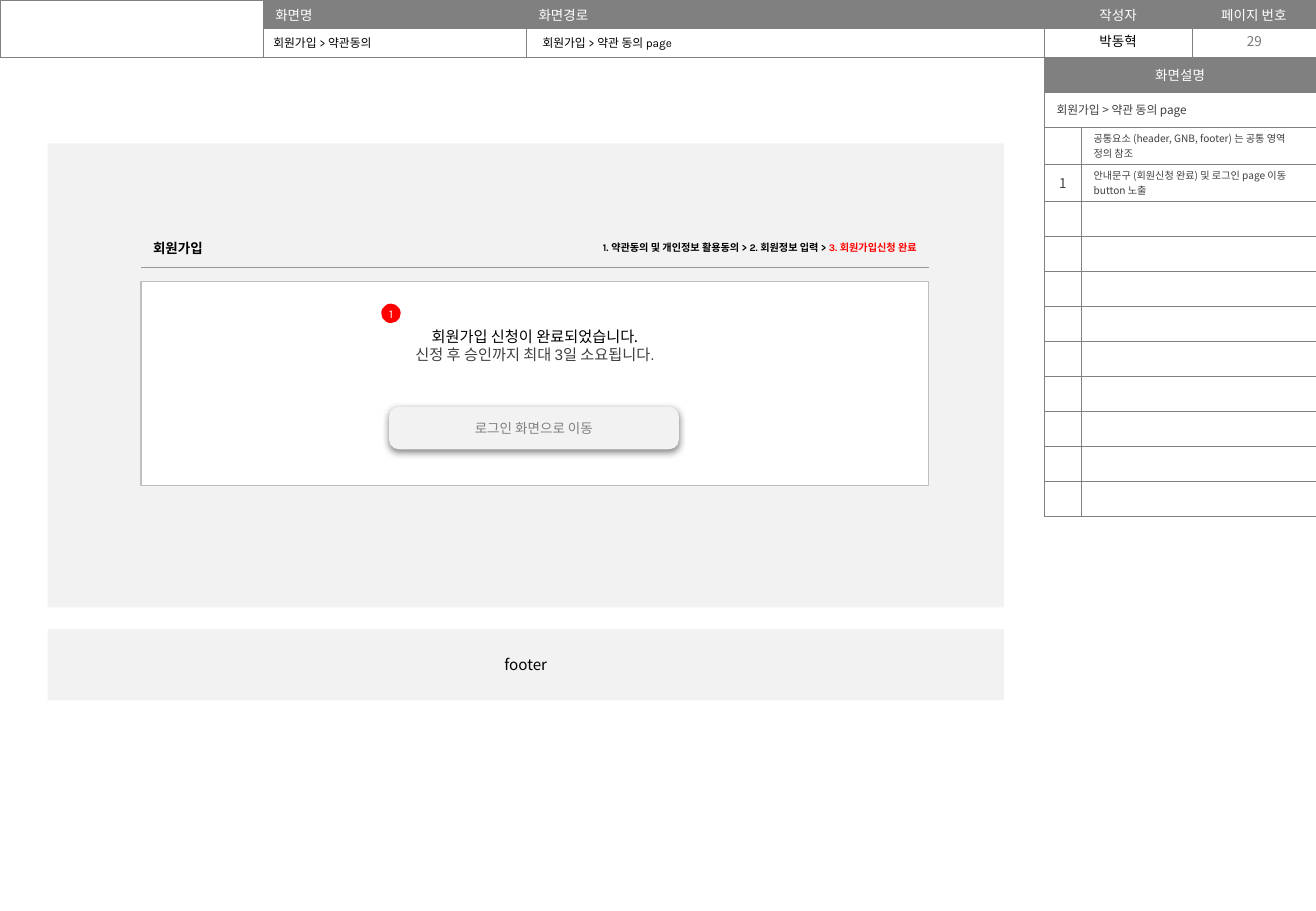
from lxml import etree
from pptx import Presentation
from pptx.dml.color import RGBColor
from pptx.enum import shapes, text
from pptx.oxml import ns
from pptx.util import Pt

WHITE = RGBColor(0xFF, 0xFF, 0xFF)
BLACK = RGBColor(0, 0, 0)
RED = RGBColor(0xFF, 0, 0)
GREY = RGBColor(0x80, 0x80, 0x80)
NUMBER_GREY = RGBColor(0x79, 0x79, 0x79)
DARK = RGBColor(0x40, 0x40, 0x40)
PANEL = RGBColor(0xF2, 0xF2, 0xF2)
RULE = RGBColor(0x99, 0x99, 0x99)
OUTLINE = RGBColor(0xBF, 0xBF, 0xBF)

NOTO, KARLA, ARIAL = "Noto Sans CJK KR", "Karla", "Arial"
LEFT, CENTER, RIGHT = text.PP_ALIGN.LEFT, text.PP_ALIGN.CENTER, text.PP_ALIGN.RIGHT
TOP, MIDDLE = text.MSO_ANCHOR.TOP, text.MSO_ANCHOR.MIDDLE
RECTANGLE = shapes.MSO_SHAPE.RECTANGLE
ROUNDED = shapes.MSO_SHAPE.ROUNDED_RECTANGLE
OVAL = shapes.MSO_SHAPE.OVAL


class Wireframe:
    def __init__(self, width, height):
        self.presentation = Presentation()
        self.presentation.slide_width = Pt(width)
        self.presentation.slide_height = Pt(height)
        self.slide = self.presentation.slides.add_slide(self.presentation.slide_layouts[6])

    def set_text(self, paragraph, content, size, color=BLACK, font=NOTO, align=LEFT, bold=False):
        """Fill a paragraph with a string or with (string, colour) runs."""
        paragraph.alignment = align
        paragraph.font.size = Pt(size)
        paragraph.font.name = font
        paragraph.font.bold = bold
        if isinstance(content, str):
            paragraph.font.color.rgb = color
            content = [(content, None)]
        for words, run_color in content:
            run = paragraph.add_run()
            run.text = words
            if run_color is not None:
                run.font.color.rgb = run_color

    def label(self, left, top, width, height, content, size, anchor=TOP, **style):
        box = self.slide.shapes.add_textbox(Pt(left), Pt(top), Pt(width), Pt(height))
        box.text_frame.word_wrap = True
        box.text_frame.vertical_anchor = anchor
        self.set_text(box.text_frame.paragraphs[0], content, size, **style)

    def shape(self, kind, left, top, width, height, fill, line=None):
        shape = self.slide.shapes.add_shape(kind, Pt(left), Pt(top), Pt(width), Pt(height))
        shape.shadow.inherit = False
        shape.fill.solid()
        shape.fill.fore_color.rgb = fill
        if line is None:
            shape.line.fill.background()
        else:
            shape.line.color.rgb = line
            shape.line.width = Pt(0.75)
        frame = shape.text_frame
        frame.word_wrap = True
        frame.vertical_anchor = MIDDLE
        frame.margin_left = frame.margin_right = frame.margin_top = frame.margin_bottom = 0
        return shape

    def drop_shadow(self, shape):
        effects = shape._element.spPr.find(ns.qn("a:effectLst"))
        shadow = etree.SubElement(effects, ns.qn("a:outerShdw"), blurRad=str(Pt(4.5)),
                                  dist=str(Pt(1.5)), dir="5400000", rotWithShape="0")
        color = etree.SubElement(shadow, ns.qn("a:srgbClr"), val=str(BLACK))
        etree.SubElement(color, ns.qn("a:alpha"), val="50000")

    def table(self, left, top, columns, rows):
        frame = self.slide.shapes.add_table(len(rows), len(columns), Pt(left), Pt(top),
                                            Pt(sum(columns)), Pt(sum(rows)))
        table = frame.table
        table.first_row = table.horz_banding = False
        for column, width in zip(table.columns, columns):
            column.width = Pt(width)
        for row, height in zip(table.rows, rows):
            row.height = Pt(height)
        return table

    def borders(self, cell, color, width, sides="LRTB"):
        """Draw the named sides of a cell and clear the others."""
        properties = cell._tc.get_or_add_tcPr()
        for position, side in enumerate("LRTB"):
            line = etree.Element(ns.qn("a:ln" + side), w=str(Pt(width)))
            if side in sides:
                fill = etree.SubElement(line, ns.qn("a:solidFill"))
                etree.SubElement(fill, ns.qn("a:srgbClr"), val=str(color))
            else:
                etree.SubElement(line, ns.qn("a:noFill"))
            properties.insert(position, line)

    def grid_cells(self, table):
        """Give every cell thin grey borders, no fill and a small empty line."""
        for cell in table.iter_cells():
            cell.fill.background()
            cell.margin_top = cell.margin_bottom = Pt(2)
            cell.vertical_anchor = MIDDLE
            self.borders(cell, GREY, 0.25)
            etree.SubElement(cell.text_frame.paragraphs[0]._p, ns.qn("a:endParaRPr"), sz="600")

    def cell(self, cell, content, size, fill=None, **style):
        if fill is not None:
            cell.fill.solid()
            cell.fill.fore_color.rgb = fill
        cell.vertical_anchor = MIDDLE
        self.set_text(cell.text_frame.paragraphs[0], content, size, **style)


def draw_header(page):
    table = page.table(0, 0, [156, 156, 307, 87.5, 73.5], [17, 17])
    table.cell(0, 0).merge(table.cell(1, 0))
    page.grid_cells(table)
    titles = [("화면명", LEFT), ("화면경로", LEFT), ("작성자", CENTER), ("페이지 번호", CENTER)]
    for column, (title, align) in enumerate(titles, start=1):
        page.cell(table.cell(0, column), title, 8, GREY, color=WHITE, align=align)
    page.label(618.5, 16, 88.5, 17, "박동혁", 8, align=CENTER)
    page.label(707, 16, 73, 17, "29", 8, MIDDLE, color=NUMBER_GREY, align=CENTER)
    page.label(155, 17.5, 160, 16, "회원가입 > 약관동의", 7, font=KARLA)
    page.label(314.5, 17.5, 303, 16, "회원가입 > 약관 동의 page", 7, font=KARLA)


def draw_description(page):
    table = page.table(619, 34, [22, 139], [20.75] * 2 + [21.75] * 2 + [20.75] * 9)
    for row in range(2):
        table.cell(row, 0).merge(table.cell(row, 1))
    page.grid_cells(table)
    page.cell(table.cell(0, 0), "화면설명", 8, GREY, color=WHITE, align=CENTER)
    page.cell(table.cell(1, 0), "회원가입 > 약관 동의 page", 7, color=DARK)
    page.cell(table.cell(3, 0), "1", 8, color=DARK, align=CENTER)
    notes = ["공통요소 (header, GNB, footer) 는 공통 영역 정의 참조",
             "안내문구 (회원신청 완료) 및 로그인 page 이동 button 노출"]
    for row, note in enumerate(notes, start=2):
        page.cell(table.cell(row, 1), note, 6, color=DARK)


def draw_screen(page):
    page.shape(RECTANGLE, 28.25, 85, 566.75, 275, PANEL)
    footer = page.shape(RECTANGLE, 28.25, 373, 566.75, 42.25, PANEL)
    page.set_text(footer.text_frame.paragraphs[0], "footer", 9, align=CENTER)

    heading = page.table(83.5, 134.5, [233.5, 233.5], [24])
    for cell in heading.iter_cells():
        cell.fill.background()
        page.borders(cell, RULE, 0.75, "B")
    page.cell(heading.cell(0, 0), "회원가입", 8, font=KARLA, bold=True)
    steps = [("1. 약관동의 및 개인정보 활용동의 > 2. 회원정보 입력 > ", BLACK),
             ("3. 회원가입신청 완료", RED)]
    page.cell(heading.cell(0, 1), steps, 6, font=KARLA, align=RIGHT, bold=True)

    message = page.shape(RECTANGLE, 83.5, 167, 467, 121, WHITE, OUTLINE)
    frame = message.text_frame
    frame.vertical_anchor = TOP
    frame.margin_top = Pt(27)
    page.set_text(frame.paragraphs[0], "회원가입 신청이 완료되었습니다.", 9, align=CENTER)
    page.set_text(frame.add_paragraph(), "신정 후 승인까지 최대 3일 소요됩니다.", 9,
                  color=DARK, font=ARIAL, align=CENTER)

    button = page.shape(ROUNDED, 231, 241.5, 171, 24.5, PANEL, PANEL)
    button.adjustments[0] = 0.22
    page.drop_shadow(button)
    page.set_text(button.text_frame.paragraphs[0], "로그인 화면으로 이동", 8,
                  color=GREY, font=ARIAL, align=CENTER)

    badge = page.shape(OVAL, 226, 180, 11.5, 11.5, RED)
    page.set_text(badge.text_frame.paragraphs[0], "1", 7, color=WHITE, font=KARLA, align=CENTER)


def main():
    page = Wireframe(780, 540)
    draw_header(page)
    draw_description(page)
    draw_screen(page)
    page.presentation.save("out.pptx")


if __name__ == "__main__":
    main()
